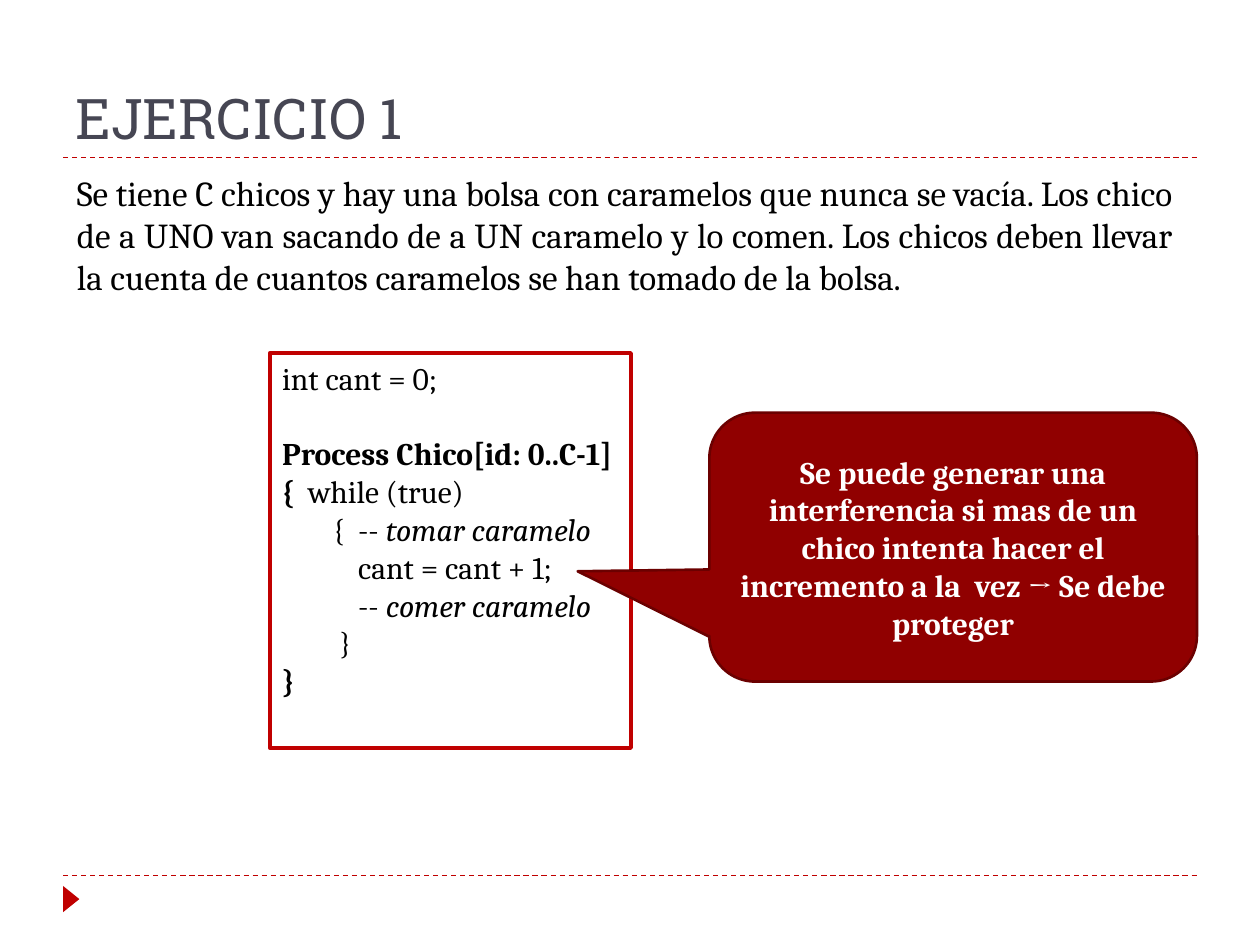
"""Build the "Ejercicio 1" slide on process interference."""
from dataclasses import dataclass

from pptx import Presentation
from pptx.dml.color import RGBColor
from pptx.enum.dml import MSO_LINE_DASH_STYLE as Dash
from pptx.enum.shapes import MSO_CONNECTOR as Connector, MSO_SHAPE as Shape
from pptx.enum.text import MSO_ANCHOR as Anchor, PP_ALIGN as Align
from pptx.oxml.ns import qn
from pptx.util import Cm, Pt

RED = RGBColor(0xC0, 0x00, 0x00)
CRIMSON = RGBColor(0x90, 0x00, 0x00)
MAROON = RGBColor(0x6B, 0x00, 0x00)
SLATE = RGBColor(0x46, 0x46, 0x53)
BLACK = RGBColor(0x00, 0x00, 0x00)
WHITE = RGBColor(0xFF, 0xFF, 0xFF)
HEADING_FONT, BODY_FONT = "Roboto Slab", "Cambria"
LEFT, RIGHT = 1.27, 24.13


@dataclass(frozen=True)
class CodeLine:
    """A line of code, with its indent and hang in centimetres."""
    text: str
    comment: str = ""
    bold: bool = False
    indent: float = 0
    hang: float = 0
    gap: float = 0


CODE = (
    CodeLine("int cant = 0;"),
    CodeLine("Process Chico[id: 0..C-1]", bold=True, gap=21.3),
    CodeLine("{\twhile (true)", indent=0.52, hang=0.52),
    CodeLine("{\t-- ", "tomar caramelo", indent=1.53, hang=0.51),
    CodeLine("cant = cant + 1;", indent=1.53),
    CodeLine("-- ", "comer caramelo", indent=1.53),
    CodeLine("}", indent=1.15),
    CodeLine("}", bold=True),
)


def box(left: float, top: float, width: float, height: float) -> tuple:
    """Return a position and size given in centimetres."""
    return Cm(left), Cm(top), Cm(width), Cm(height)


def style(paragraph, size: float, color: RGBColor, font: str = BODY_FONT,
          bold: bool = False, align: Align = Align.LEFT) -> None:
    """Set the font and alignment of a paragraph."""
    paragraph.alignment = align
    paragraph.font.size = Pt(size)
    paragraph.font.name = font
    paragraph.font.bold = bold
    paragraph.font.color.rgb = color


def add_text(slide, place: tuple, text: str, anchor: Anchor, **look) -> None:
    """Add a wrapped text box with one paragraph."""
    frame = slide.shapes.add_textbox(*place).text_frame
    frame.word_wrap = True
    frame.vertical_anchor = anchor
    frame.text = text
    style(frame.paragraphs[0], **look)


def add_rule(slide, y: float) -> None:
    """Add a dashed rule across the slide."""
    rule = slide.shapes.add_connector(
        Connector.STRAIGHT, Cm(LEFT), Cm(y), Cm(RIGHT), Cm(y))
    rule.line.color.rgb = RED
    rule.line.width = Pt(0.75)
    rule.line.dash_style = Dash.DASH
    properties = rule._element.spPr
    properties.append(properties.makeelement(qn("a:effectLst"), {}))


def add_figure(slide, preset: Shape, place: tuple, fill: RGBColor | None = None,
               line: RGBColor | None = None, weight: float = 0):
    """Add a flat preset shape."""
    figure = slide.shapes.add_shape(preset, *place)
    figure.shadow.inherit = False
    if fill is None:
        figure.fill.background()
    else:
        figure.fill.solid()
        figure.fill.fore_color.rgb = fill
    if line is None:
        figure.line.fill.background()
    else:
        figure.line.color.rgb = line
        figure.line.width = Pt(weight)
    return figure


def add_code(frame, lines: tuple[CodeLine, ...]) -> None:
    """Write code lines with italic comments."""
    frame.word_wrap = True
    frame.vertical_anchor = Anchor.TOP
    for number, line in enumerate(lines):
        paragraph = frame.add_paragraph() if number else frame.paragraphs[0]
        style(paragraph, 18, BLACK, bold=line.bold)
        paragraph.space_before = Pt(line.gap)
        properties = paragraph._p.get_or_add_pPr()
        properties.set("marL", str(Cm(line.indent)))
        properties.set("indent", str(-Cm(line.hang)))
        start, tab, rest = line.text.partition("\t")
        opening = paragraph.add_run()
        opening.text = start
        if tab:
            opening.font.bold = start == "{" and not line.comment
            paragraph.add_run().text = tab + rest
        if line.comment:
            comment = paragraph.add_run()
            comment.text = line.comment
            comment.font.italic = True


presentation = Presentation()
presentation.slide_width, presentation.slide_height = Cm(25.4), Cm(19.05)
slide = presentation.slides.add_slide(presentation.slide_layouts[6])

for rule_y in (17.65, 3.18):
    add_rule(slide, rule_y)
marker = add_figure(slide, Shape.ISOSCELES_TRIANGLE,
                    box(1.17, 17.96, 0.53, 0.33), fill=RED)
marker.rotation = 90

add_text(slide, box(LEFT, 0.43, RIGHT - LEFT, 2.74), "EJERCICIO 1", Anchor.BOTTOM,
         size=32, color=SLATE, font=HEADING_FONT)
add_text(slide, box(1.3, 3.33, 22.6, 2.82),
         "Se tiene C chicos y hay una bolsa con caramelos que nunca se vacía. "
         "Los chico de a UNO van sacando de a UN caramelo y lo comen. Los chicos "
         "deben llevar la cuenta de cuantos caramelos se han tomado de la bolsa.",
         Anchor.TOP, size=20, color=BLACK, align=Align.JUSTIFY)

program = add_figure(slide, Shape.RECTANGLE, box(5.44, 7.12, 7.28, 7.96),
                     line=RED, weight=2.25)
add_code(program.text_frame, CODE)

warning = add_figure(slide, Shape.ROUNDED_RECTANGULAR_CALLOUT,
                     box(14.3, 8.32, 9.83, 5.42), CRIMSON, MAROON, 1.5)
for index, value in enumerate((-0.77, 0.09, 0.17)):
    warning.adjustments[index] = value
warning.text_frame.word_wrap = True
warning.text_frame.vertical_anchor = Anchor.MIDDLE
warning.text_frame.text = (
    "Se puede generar una interferencia si mas de un chico intenta hacer el "
    "incremento a la  vez → Se debe proteger")
style(warning.text_frame.paragraphs[0], 18, WHITE, bold=True, align=Align.CENTER)

presentation.save("out.pptx")
